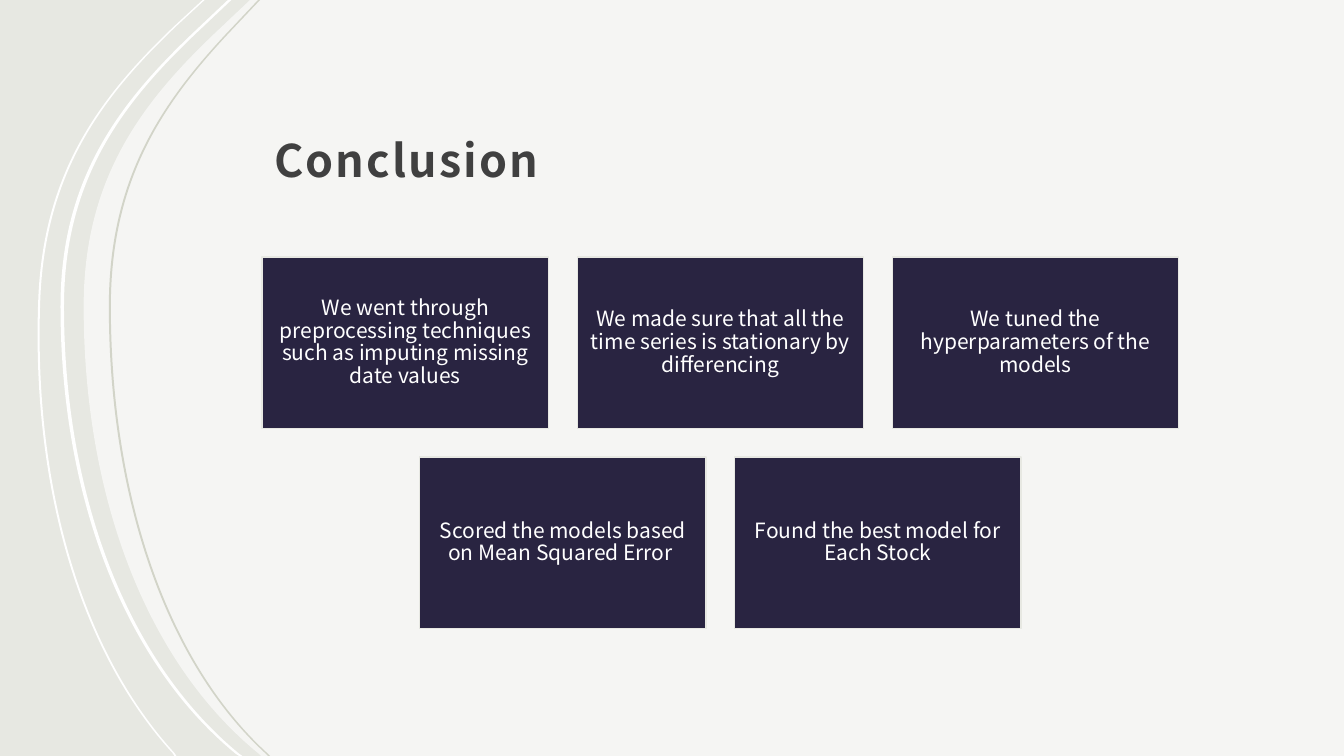
"""Build the Conclusion slide: curved side bands, a title and five cards."""
from lxml import etree
from pptx import Presentation
from pptx import util as u
from pptx.dml.color import RGBColor
from pptx.enum import shapes, text
from pptx.oxml.ns import qn

FONT = "Noto Sans CJK JP"


def paint(fill, color):
    fill.solid()
    fill.fore_color.rgb = RGBColor.from_string(color)


def bend(sp, starts):
    lines = list(sp._element.iter(qn("a:lnTo")))
    for start in starts:
        curve = etree.Element(qn("a:cubicBezTo"))
        lines[start - 1].addprevious(curve)
        for line in lines[start - 1:start + 2]:
            curve.append(line[0])
            line.getparent().remove(line)


prs = Presentation()
prs.slide_width, prs.slide_height = u.Inches(13.33), u.Inches(7.5)
s = prs.slides.add_slide(prs.slide_layouts[6])
paint(s.background.fill, "E7E8E2")

panel = [(2.48, 0), (2.11, 0.35), (1.39, 1.04), (0.83, 1.79), (0.83, 3.04),
         (0.83, 4.92), (1.45, 6.57), (2.57, 7.48), (2.59, 7.5)]
outer = [(2.01, 0), (1.75, 0.24), (1.02, 0.93), (0.43, 1.68), (0.38, 2.97),
         (0.31, 4.8), (0.78, 6.45), (1.71, 7.47), (1.73, 7.5)]
middle = [(2.26, 0), (1.89, 0.35), (1.17, 1.04), (0.6, 1.79), (0.6, 3.04),
          (0.6, 4.92), (1.23, 6.57), (2.34, 7.48), (2.37, 7.5)]
inner = [(2.56, 0), (2.23, 0.35), (1.59, 1.04), (1.08, 1.79), (1.08, 3.04),
         (1.08, 4.92), (1.64, 6.57), (2.64, 7.48), (2.66, 7.5)]

outlines = [(panel + [(13.33, 7.5), (13.33, 0)], "FFFFFF", 60, (2, 5))]
for edge, width, color in ((outer, 0.02, "FFFFFF"), (middle, 0.035, "FFFFFF"), (inner, 0.02, "D2D4C8")):
    band = edge + [(x + width, y) for x, y in reversed(edge)]
    outlines.append((band, color, 100, (2, 5, 11, 14)))

for outline, color, opacity, curve_starts in outlines:
    pts = [(u.Inches(x), u.Inches(y)) for x, y in outline]
    builder = s.shapes.build_freeform(*pts[0])
    builder.add_line_segments(pts[1:], close=True)
    sp = builder.convert_to_shape()
    bend(sp, curve_starts)
    sp.shadow.inherit = False
    sp.line.fill.background()
    paint(sp.fill, color)
    if opacity < 100:
        rgb = sp._element.spPr.find(qn("a:solidFill"))[0]
        etree.SubElement(rgb, qn("a:alpha")).set("val", str(opacity * 1000))

title = s.shapes.add_textbox(u.Inches(2.6), u.Inches(0.48), u.Inches(9.18), u.Inches(1.47))
tf = title.text_frame
tf.word_wrap = True
tf.vertical_anchor = text.MSO_ANCHOR.BOTTOM
tf.margin_left = tf.margin_right = tf.margin_top = u.Inches(0.12)
tf.margin_bottom = u.Inches(0.1)
tf.text = "Conclusion"
p = tf.paragraphs[0]
p.line_spacing = 1.3
r = p.runs[0]
r.font.name, r.font.size, r.font.bold = FONT, u.Pt(32), True
r.font.color.rgb = RGBColor.from_string("404040")
r.font._element.set("spc", "150")

rows = [
    ["We went through preprocessing techniques such as imputing missing date values",
     "We made sure that all the time series is stationary by differencing",
     "We tuned the hyperparameters of the models"],
    ["Scored the models based on Mean Squared Error ",
     "Found the best model for Each Stock"],
]
card_w, card_h, gap = 2.84, 1.7, 0.285
for row, cards in enumerate(rows):
    indent = (len(rows[0]) - len(cards)) * (card_w + gap) / 2
    for col, wording in enumerate(cards):
        left = 2.6 + indent + col * (card_w + gap)
        top = 2.55 + row * (card_h + gap)
        sp = s.shapes.add_shape(shapes.MSO_SHAPE.RECTANGLE, u.Inches(left), u.Inches(top),
                                u.Inches(card_w), u.Inches(card_h))
        sp.shadow.inherit = False
        paint(sp.fill, "292441")
        paint(sp.line.fill, "E7E8E2")
        sp.line.width = u.Pt(1)
        tf = sp.text_frame
        tf.word_wrap = True
        tf.vertical_anchor = text.MSO_ANCHOR.MIDDLE
        tf.margin_left = tf.margin_right = tf.margin_top = tf.margin_bottom = u.Inches(0.06)
        tf.text = wording
        p = tf.paragraphs[0]
        p.alignment = text.PP_ALIGN.CENTER
        p.line_spacing = 0.9
        r = p.runs[0]
        r.font.name, r.font.size = FONT, u.Pt(15)
        r.font.color.rgb = RGBColor.from_string("FFFFFF")

prs.save("out.pptx")
